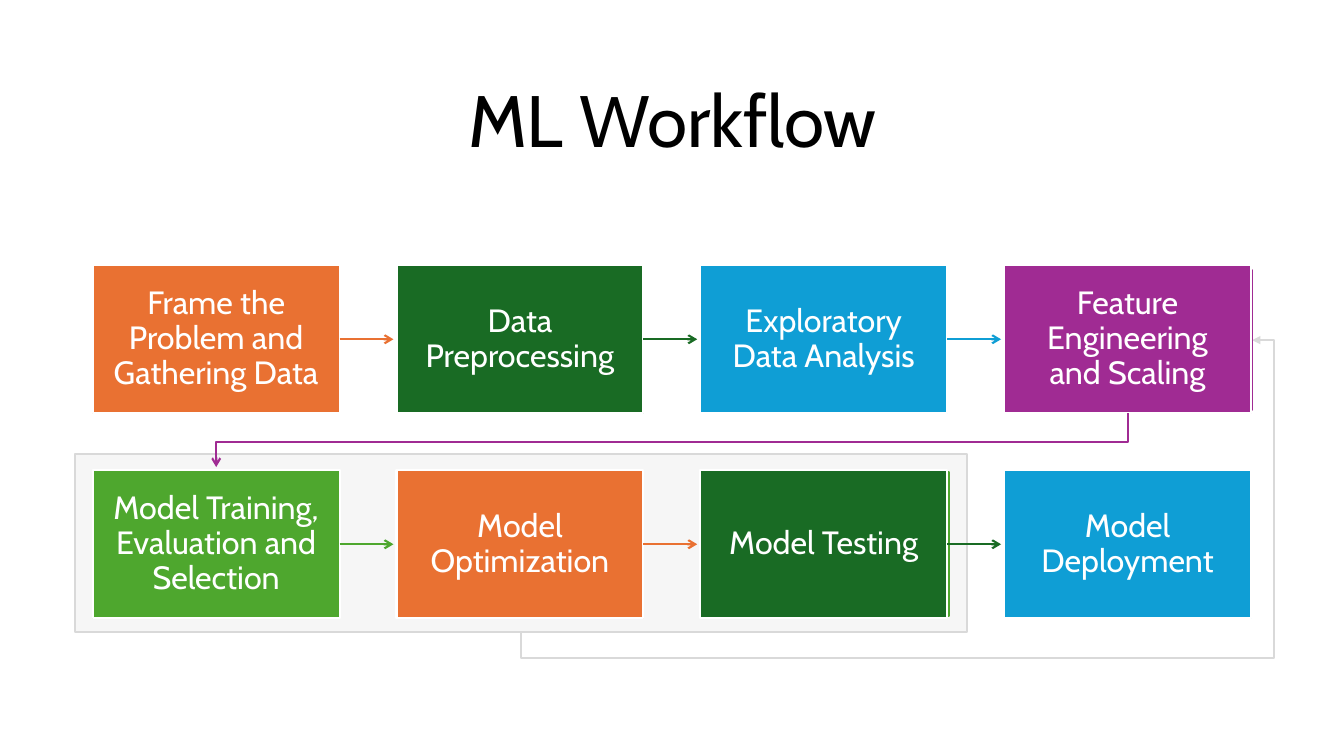
from lxml import etree
from pptx import Presentation
from pptx.dml.color import RGBColor
from pptx.enum import shapes, text
from pptx.oxml.ns import qn
from pptx.util import Pt

FONT = "Cabin"
WHITE, BLACK, PANEL, GREY = "FFFFFF", "000000", "F2F2F2", "D9D9D9"
ORANGE, GREEN, BLUE, PURPLE, LIME = "E97132", "196B24", "0F9ED5", "A02B93", "4EA72E"
LINE_WIDTH = 1.5

TITLE_BOX = (66.24, 43.9, 828, 89.3)
GRID_BOX = (66.24, 189.4, 827.4, 252.3)
PANEL_BOX = (53.3, 324, 637.2, 127.4)
FEATURE_FRAME = (719.3, 193, 175, 100)
TESTING_FRAME = (502.6, 337, 175, 103)

STEP_WIDTH, STEP_HEIGHT = 176.4, 105.9
ARROW_GAP = 2.2
STEPS = [
    [("Frame the Problem and Gathering Data", ORANGE),
     ("Data Preprocessing", GREEN),
     ("Exploratory Data Analysis", BLUE),
     ("Feature Engineering and Scaling", PURPLE)],
    [("Model Training, Evaluation and Selection", LIME),
     ("Model Optimization", ORANGE),
     ("Model Testing", GREEN),
     ("Model Deployment", BLUE)],
]


def paint(format_part, color):
    format_part.solid()
    format_part.fore_color.rgb = RGBColor.from_string(color)


def set_all(target, values):
    for name, value in values.items():
        setattr(target, name, value)


def write(frame, words, size, color, inset):
    set_all(frame, {
        "word_wrap": True,
        "auto_size": text.MSO_AUTO_SIZE.NONE,
        "vertical_anchor": text.MSO_ANCHOR.MIDDLE,
        **{f"margin_{side}": Pt(inset) for side in ("left", "top", "right", "bottom")},
    })
    para = frame.paragraphs[0]
    set_all(para, {"alignment": text.PP_ALIGN.CENTER, "line_spacing": 0.9})
    span = para.add_run()
    span.text = words
    set_all(span.font, {"name": FONT, "size": Pt(size)})
    span.font.color.rgb = RGBColor.from_string(color)


def add_title(page, box):
    title = page.shapes.title
    set_all(title, dict(zip(("left", "top", "width", "height"), map(Pt, box))))
    write(title.text_frame, "ML Workflow", 52, BLACK, 5)


def add_rectangle(page, box, line, fill=None):
    rectangle = page.shapes.add_shape(shapes.MSO_SHAPE.RECTANGLE, *map(Pt, box))
    rectangle.shadow.inherit = False
    if fill:
        paint(rectangle.fill, fill)
    else:
        rectangle.fill.background()
    paint(rectangle.line.fill, line)
    rectangle.line.width = Pt(LINE_WIDTH)
    return rectangle


def add_panel(page, box):
    """Draw the translucent panel that groups the modelling steps."""
    panel = add_rectangle(page, box, GREY, PANEL)
    color = panel._element.spPr.find(qn("a:solidFill"))[0]
    etree.SubElement(color, qn("a:alpha"), val="63000")


def add_arrow(page, kind, start, end, color, head):
    arrow = page.shapes.add_connector(kind, *map(Pt, (*start, *end)))
    paint(arrow.line.fill, color)
    arrow.line.width = Pt(LINE_WIDTH)
    etree.SubElement(arrow.line._get_or_add_ln(), qn("a:tailEnd"), type=head)
    etree.SubElement(arrow._element.spPr, qn("a:effectLst"))
    return arrow


def add_elbow(page, start, end, color, head, bends):
    """Draw an elbow arrow that leaves start vertically.

    The unrotated shape is laid out around the same centre, then turned by
    90 degrees. Bends are fractions of its width and height in turn.
    """
    (x1, y1), (x2, y2) = start, end
    mid_x, mid_y = (x1 + x2) / 2, (y1 + y2) / 2
    half_x, half_y = (y2 - y1) / 2, (x1 - x2) / 2
    elbow = add_arrow(page, shapes.MSO_CONNECTOR.ELBOW,
                      (mid_x - half_x, mid_y - half_y),
                      (mid_x + half_x, mid_y + half_y), color, head)
    properties = elbow._element.spPr
    properties.find(qn("a:xfrm")).set("rot", str(90 * 60000))
    geometry = properties.find(qn("a:prstGeom"))
    geometry.set("prst", f"bentConnector{len(bends) + 2}")
    guides = geometry.find(qn("a:avLst"))
    for number, bend in enumerate(bends, 1):
        etree.SubElement(guides, qn("a:gd"), name=f"adj{number}",
                         fmla=f"val {round(bend * 100000)}")


def add_feedback(page, panel_box, frame_box):
    """Lead the grey loop from the panel back to feature engineering."""
    left, top, width, height = panel_box
    frame_left, frame_top, frame_width, frame_height = frame_box
    add_elbow(page, (left + width / 2, top + height),
              (frame_left + frame_width, frame_top + frame_height / 2),
              GREY, "triangle", (-0.09, 1.03))


def add_steps(page, box):
    """Place the steps in two rows and link each one to the next."""
    left, top, width, height = box
    pitch_x = (width - STEP_WIDTH) / (len(STEPS[0]) - 1)
    pitch_y = height - STEP_HEIGHT
    for row, steps in enumerate(STEPS):
        y = top + row * pitch_y
        for column, (words, color) in enumerate(steps):
            x = left + column * pitch_x
            step = add_rectangle(page, (x, y, STEP_WIDTH, STEP_HEIGHT), WHITE, color)
            write(step.text_frame, words, 23, WHITE, 13)
            if column < len(steps) - 1:
                middle = y + STEP_HEIGHT / 2
                arrow = add_arrow(page, shapes.MSO_CONNECTOR.STRAIGHT,
                                  (x + STEP_WIDTH, middle),
                                  (x + pitch_x - ARROW_GAP, middle), color, "arrow")
                arrow.begin_connect(step, 3)
    first_middle = left + STEP_WIDTH / 2
    add_elbow(page, (first_middle + width - STEP_WIDTH, top + STEP_HEIGHT),
              (first_middle, top + pitch_y - ARROW_GAP), PURPLE, "arrow", (0.53,))


def main():
    deck = Presentation()
    set_all(deck, {"slide_width": Pt(960), "slide_height": Pt(540)})
    page = deck.slides.add_slide(deck.slide_layouts.get_by_name("Title Only"))
    add_title(page, TITLE_BOX)
    add_feedback(page, PANEL_BOX, FEATURE_FRAME)
    add_panel(page, PANEL_BOX)
    add_rectangle(page, FEATURE_FRAME, PURPLE)
    add_rectangle(page, TESTING_FRAME, LIME)
    add_steps(page, GRID_BOX)
    deck.save("out.pptx")


if __name__ == "__main__":
    main()
